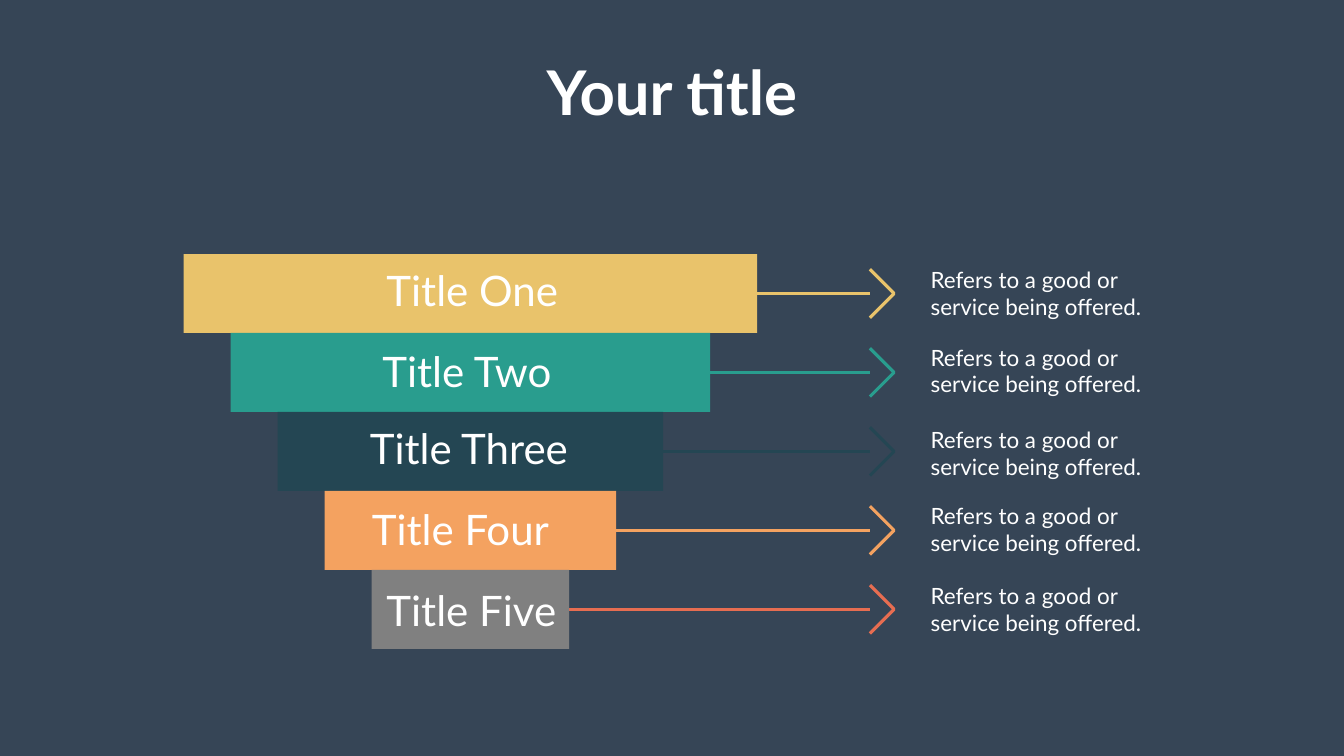
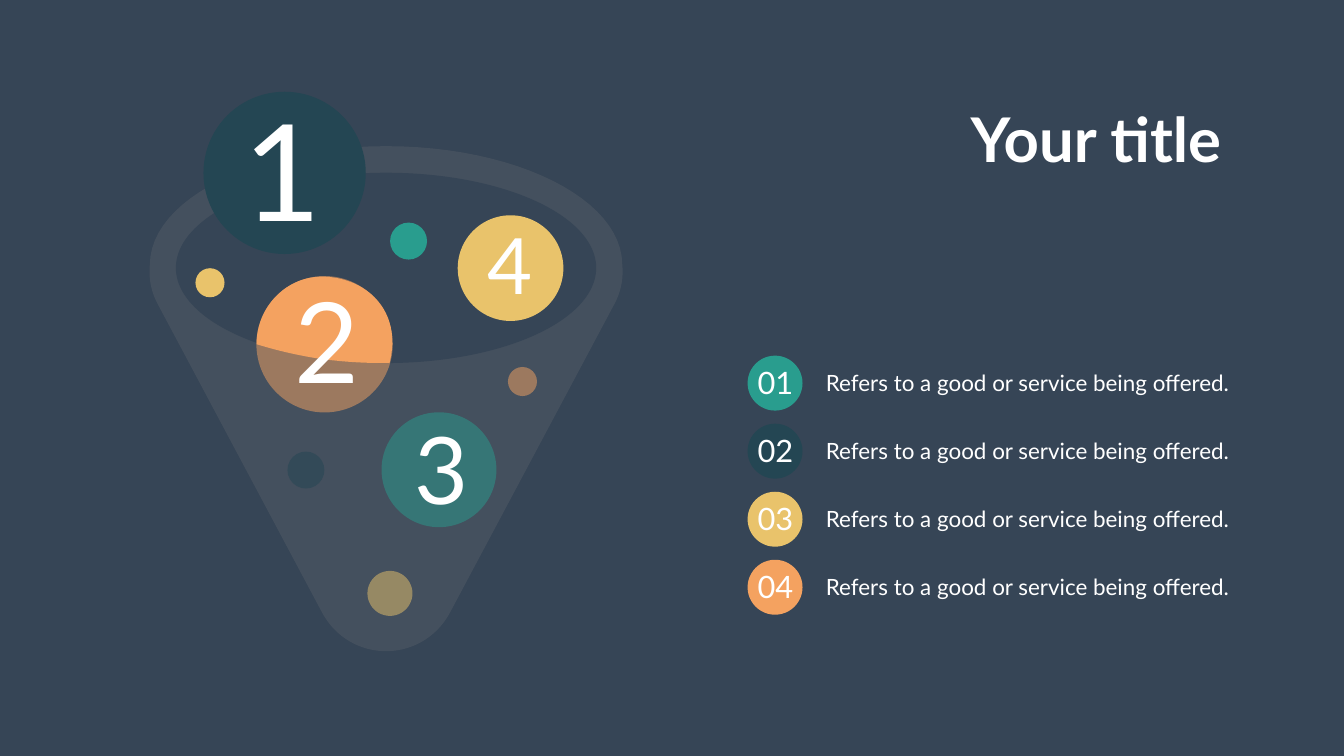
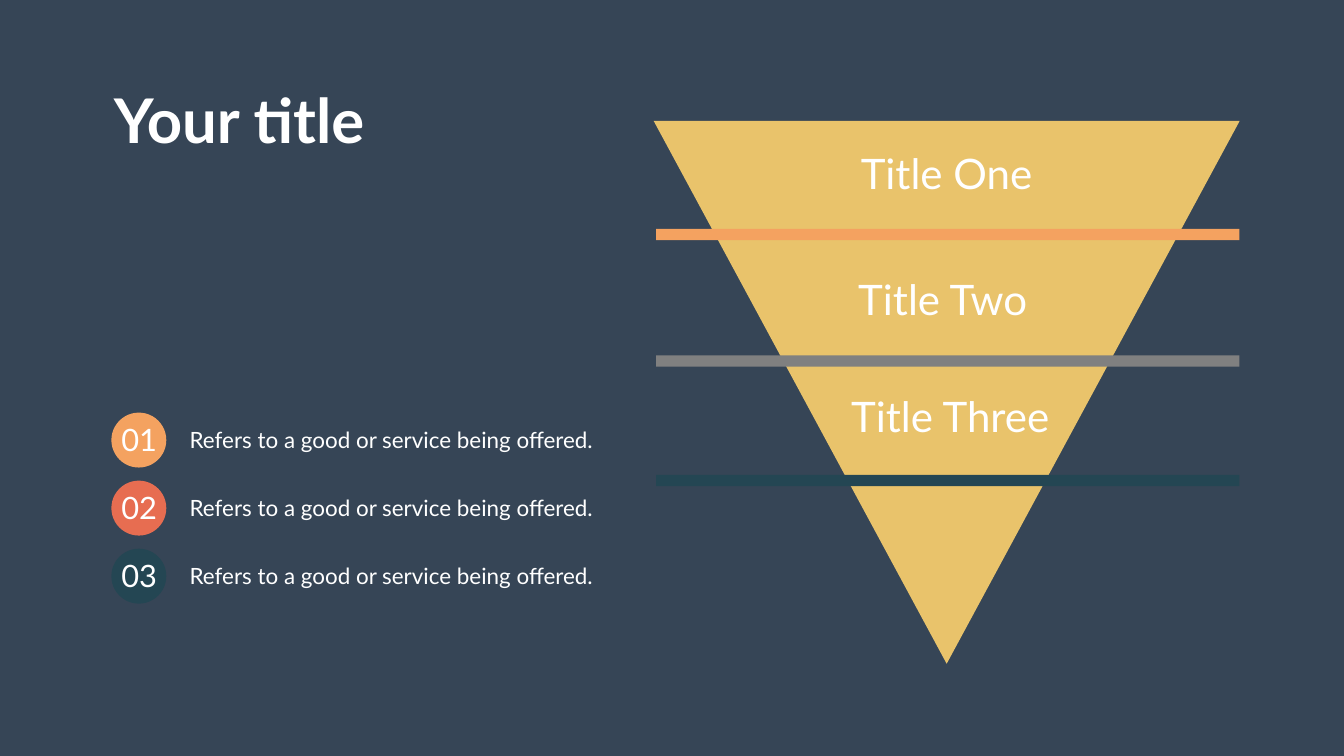
from typing import Iterable, NamedTuple, Optional

from pptx import Presentation, util as u
from pptx.dml.color import RGBColor
from pptx.enum import shapes, text
from pptx.oxml import xmlchemy
from pptx.oxml.ns import qn

# Shared look: colours, font, and a grid of 80 columns by 45 rows
HUES = {
    "night": "364556", "white": "FFFFFF", "gold": "E9C36B", "mint": "299D8E",
    "teal": "244653", "orange": "F4A260", "coral": "E76D51", "gray": "808080",
}
FONT = "Lato"
WIDE, HIGH = u.Inches(26.66), u.Inches(15)
COLS, ROWS = 80, 45
SIZES = {"title": 88, "label": 60, "number": 44, "note": 32}
OFFER = "Refers to a good or service being offered."

LEFT, MID = text.PP_ALIGN.LEFT, text.PP_ALIGN.CENTER
KIND = shapes.MSO_SHAPE


class Box(NamedTuple):
    x: float
    y: float
    w: float
    h: float


class Tier(NamedTuple):
    label: Box
    words: str
    fill: str
    arrow: str
    start: float
    note: float


class Ball(NamedTuple):
    x: float
    y: float
    size: float
    hue: str
    alpha: int = 100


class Digit(NamedTuple):
    box: Box
    words: str
    size: int


class Layer(NamedTuple):
    label: Box
    words: str
    bar: float
    hue: str


Point = tuple[float, float]


# Drawing helpers
def col(n: float) -> int:
    return round(WIDE * n / COLS)


def row(n: float) -> int:
    return round(HIGH * n / ROWS)


def place(box: Box) -> tuple[int, int, int, int]:
    return col(box.x), row(box.y), col(box.w), row(box.h)


def tint(name: str) -> RGBColor:
    return RGBColor.from_string(HUES[name])


def paint(shape, hue: str, alpha: int = 100):
    """Give a shape a flat fill with no line or shadow."""
    shape.shadow.inherit = False
    shape.line.fill.background()
    shape.fill.solid()
    shape.fill.fore_color.rgb = tint(hue)
    if alpha < 100:
        clear = xmlchemy.OxmlElement("a:alpha")
        clear.set("val", str(alpha * 1000))
        shape.element.spPr.find(qn("a:solidFill"))[0].append(clear)


def stroke(line, hue: str):
    line.color.rgb = tint(hue)
    line.width = u.Pt(4.5)


def block(slide, kind, box: Box, hue: str, alpha: int = 100):
    paint(slide.shapes.add_shape(kind, *place(box)), hue, alpha)


def disc(slide, ball: Ball):
    half = ball.size / 2
    box = Box(ball.x - half, ball.y - half, ball.size, ball.size)
    block(slide, KIND.OVAL, box, ball.hue, ball.alpha)


def trace(slide, dots: Iterable[Point], close: bool):
    first, *rest = [(col(x), row(y)) for x, y in dots]
    pen = slide.shapes.build_freeform(*first, scale=1.0)
    pen.add_line_segments(rest, close=close)
    return pen.convert_to_shape()


def curve(a: Point, b: Point, c: Point, d: Point, steps: int = 24) -> list[Point]:
    """Sample a cubic curve, leaving out its first point."""
    dots = []
    for i in range(1, steps + 1):
        t = i / steps
        s = 1 - t
        parts = (s ** 3, 3 * s * s * t, 3 * s * t * t, t ** 3)
        dots.append(tuple(sum(k * p[n] for k, p in zip(parts, (a, b, c, d)))
                          for n in (0, 1)))
    return dots


def bend(start: Point, arcs: Iterable[tuple[Point, ...]]) -> list[Point]:
    """Join curves, and straight edges given as a single point."""
    dots = [start]
    for arc in arcs:
        dots += curve(dots[-1], *arc) if len(arc) == 3 else arc
    return dots


def write(frame, lines: Iterable[str], size: int, align=LEFT,
          wrap: bool = False, bold: Optional[bool] = None):
    frame.word_wrap = wrap
    frame.auto_size = text.MSO_AUTO_SIZE.SHAPE_TO_FIT_TEXT
    frame.vertical_anchor = text.MSO_ANCHOR.TOP
    for i, words in enumerate(lines):
        para = frame.add_paragraph() if i else frame.paragraphs[0]
        para.alignment = align
        run = para.add_run()
        run.text = words
        run.font.name, run.font.size, run.font.bold = FONT, u.Pt(size), bold
        run.font.color.rgb = tint("white")


def note(slide, box: Box, lines: Iterable[str], size: int, **look):
    write(slide.shapes.add_textbox(*place(box)).text_frame, lines, size, **look)


def begin(deck, x: float, y: float, align=LEFT):
    """Add a slide with its title at the given cell."""
    slide = deck.slides.add_slide(deck.slide_layouts[5])
    head = slide.shapes.title
    head.left, head.top, head.width, head.height = place(Box(x, y, 16.08, 4.74))
    write(head.text_frame, ["Your title"], SIZES["title"], align, bold=True)
    return slide


def legend(slide, x: float, y: float, hues: Iterable[str]):
    """Draw a numbered list with a disc before each line."""
    size, step = 3.27, 4.05
    for i, hue in enumerate(hues):
        top = y + i * step
        disc(slide, Ball(x + size / 2, top + size / 2, size, hue))
        note(slide, Box(x + 4.23, top + 0.67, 24.87, 1.92), [OFFER],
             SIZES["note"], align=MID, wrap=True)
        note(slide, Box(x + 0.3, top + 0.32, 2.76, 2.52), [f"{i + 1:02}"],
             SIZES["number"])


# Slide 1: stepped funnel with arrows
TIERS = [
    Tier(Box(22.71, 15.6, 10.92, 3.33), "Title One", "gold", "gold", 41.58, 15.69),
    Tier(Box(22.47, 20.4, 11.07, 3.33), "Title Two", "mint", "mint", 41.58, 20.31),
    Tier(Box(21.72, 24.99, 12.66, 3.33), "Title Three", "teal", "teal", 38.7, 25.23),
    Tier(Box(21.84, 29.85, 11.37, 3.33), "Title Four", "orange", "orange", 35.97, 29.76),
    Tier(Box(22.71, 34.65, 10.83, 3.33), "Title Five", "gray", "coral", 33.48, 34.53),
]


def steps(deck):
    slide = begin(deck, 31.95, 3.03, MID)
    axis, top, high, wide, cut = 28, 15.12, 4.7, 34.15, 5.6
    neck, tip, half = 51.78, 53.22, 1.44
    for i, tier in enumerate(TIERS):
        y, w = top + i * high, wide - i * cut
        mid = y + high / 2
        shaft = slide.shapes.add_connector(
            shapes.MSO_CONNECTOR.STRAIGHT,
            col(tier.start), row(mid), col(neck), row(mid))
        stroke(shaft.line, tier.arrow)
        shaft.element.spPr.append(xmlchemy.OxmlElement("a:effectLst"))
        block(slide, KIND.RECTANGLE, Box(axis - w / 2, y, w, high), tier.fill)
        barb = trace(slide, [(neck, mid - half), (tip, mid), (neck, mid + half)], False)
        barb.shadow.inherit = False
        barb.fill.background()
        stroke(barb.line, tier.arrow)
        note(slide, tier.label, [tier.words], SIZES["label"])
        note(slide, Box(55.1, tier.note, 13.38, 3.54),
             ["Refers to a good or", "service being offered."], SIZES["note"])


# Slide 2: funnel with balls
AXIS = 22.98
# Half of the cone, as distances from the axis
CONE = bend((0, 8.7), [
    ((7.74, 8.7), (14.04, 11.85), (14.06, 15.75)),
    ((14.15, 16.7), (13.93, 17.52), (13.5, 18.27)),
    ((3.83, 36.42),),
    ((3, 37.98), (1.5, 38.76), (0, 38.76)),
])
# Part of the second ball above the rim
CAP = bend((15.27, 20.49), [
    ((15.27, 18.27), (17.07, 16.38), (19.32, 16.47)),
    ((21.81, 16.56), (23.97, 18.48), (23.19, 21.6)),
    ((22.02, 21.63), (20.64, 21.57), (19.08, 21.36)),
    ((17.64, 21.15), (16.35, 20.82), (15.27, 20.49)),
])
BALLS = [
    Ball(16.94, 10.29, 9.66, "teal"),
    Ball(26.13, 27.96, 6.84, "mint", 50),
    Ball(30.39, 15.96, 6.29, "gold"),
    Ball(18.21, 27.98, 2.2, "teal", 50),
    Ball(24.32, 14.35, 2.2, "mint"),
    Ball(31.1, 22.71, 1.73, "orange", 50),
    Ball(12.5, 16.83, 1.73, "gold"),
    Ball(23.21, 35.32, 2.68, "gold", 50),
]
DIGITS = [
    Digit(Box(14.19, 5.04, 5.28, 9.99), "1", 192),
    Digit(Box(17.22, 16.02, 4.5, 8.37), "2", 160),
    Digit(Box(24.36, 24.33, 3.84, 7.02), "3", 133),
    Digit(Box(28.71, 12.78, 3.3, 5.91), "4", 111),
]


def funnel(deck):
    slide = begin(deck, 57.48, 5.85)
    rim = [(AXIS - x, y) for x, y in CONE]
    rim += [(AXIS + x, y) for x, y in CONE[-2:0:-1]]
    paint(trace(slide, rim, True), "gray", 20)
    block(slide, KIND.OVAL, Box(AXIS - 12.51, 10.28, 25.02, 11.33), "night")
    disc(slide, Ball(19.32, 20.49, 8.12, "orange", 50))
    paint(trace(slide, CAP, True), "orange")
    for ball in BALLS:
        disc(slide, ball)
    for digit in DIGITS:
        note(slide, digit.box, [digit.words], digit.size)
    legend(slide, 44.5, 21.17, ["mint", "teal", "gold", "orange"])


# Slide 3: triangle cut by bars
LAYERS = [
    Layer(Box(50.94, 8.64, 10.92, 3.33), "Title One", 13.62, "orange"),
    Layer(Box(50.79, 16.14, 11.07, 3.33), "Title Two", 21.15, "gray"),
    Layer(Box(50.37, 23.07, 12.66, 3.33), "Title Three", 28.26, "teal"),
]


def wedge(deck):
    slide = begin(deck, 6.48, 4.71)
    block(slide, KIND.FLOWCHART_MERGE, Box(38.91, 7.2, 34.88, 32.31), "gold")
    for layer in LAYERS:
        block(slide, KIND.RECTANGLE, Box(39.06, layer.bar, 34.71, 0.68), layer.hue)
        note(slide, layer.label, [layer.words], SIZES["label"])
    legend(slide, 6.63, 24.56, ["orange", "coral", "teal"])


def main():
    deck = Presentation()
    deck.slide_width, deck.slide_height = WIDE, HIGH
    back = deck.slide_master.background.fill
    back.solid()
    back.fore_color.rgb = tint("night")
    for build in (steps, funnel, wedge):
        build(deck)
    deck.save("out.pptx")


if __name__ == "__main__":
    main()
